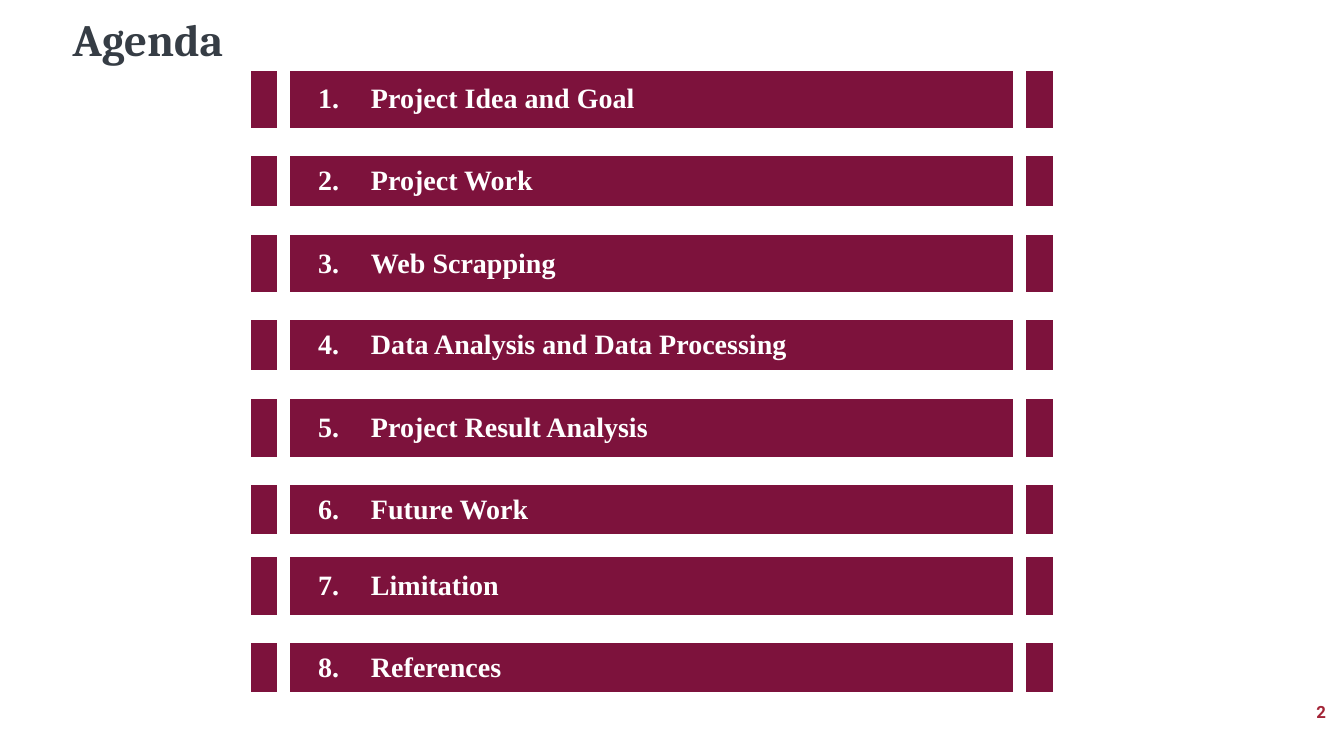
import pptx
import pptx.util
import pptx.dml.color
import pptx.enum.text
import pptx.oxml.ns
from lxml import etree
from pptx.util import Inches, Pt

COLORS = {"wine": "7D123C", "white": "FFFFFF", "slate": "363D45", "red": "A32537"}
ALIGN = pptx.enum.text.PP_ALIGN
ANCHOR = pptx.enum.text.MSO_ANCHOR
PLAIN = "{2D5ABB26-0587-4C30-8999-92F81FD0307C}"
COLS = [0.26, 0.13, 0.76, 6.41, 0.13, 0.26]
ROWS = [0.28, 0.57, 0.28, 0.49]
BARS = (0, 2, 3, 5)
TOPICS = [
    "Project Idea and Goal", "Project Work", "Web Scrapping",
    "Data Analysis and Data Processing", "Project Result Analysis",
    "Future Work", "Limitation", "References",
]
TOPS = [0.42, 2.05, 3.68, 5.25]


def color(name):
    return pptx.dml.color.RGBColor.from_string(COLORS[name])


def write(frame, text, size, face, tint, align=ALIGN.LEFT):
    frame.text = text
    para = frame.paragraphs[0]
    para.alignment = align
    font = para.runs[0].font
    font.size, font.name, font.bold = Pt(size), face, True
    font.color.rgb = color(tint)


def add_title(slide, text):
    title = slide.shapes.title
    title.left, title.top = Inches(0.62), Inches(0.13)
    title.width, title.height = Inches(11.71), Inches(0.8)
    frame = title.text_frame
    frame.vertical_anchor = ANCHOR.TOP
    write(frame, text, 32, "Cambria", "slate")
    frame.paragraphs[0].line_spacing = 0.9


def add_number(slide, text):
    box = slide.shapes.add_textbox(Inches(10.25), Inches(6.86), Inches(3), Inches(0.4))
    frame = box.text_frame
    frame.word_wrap = True
    frame.vertical_anchor = ANCHOR.MIDDLE
    write(frame, text, 12, "Roboto", "red", ALIGN.RIGHT)


def format_cell(cell, row, col):
    cell.margin_left = cell.margin_right = Inches(0.04)
    cell.margin_top = cell.margin_bottom = Inches(0.04)
    cell.vertical_anchor = ANCHOR.MIDDLE
    if row % 2 and col in BARS:
        cell.fill.solid()
        cell.fill.fore_color.rgb = color("wine")
    elif col == 1 or (row, col) == (1, 4):
        cell.fill.solid()
        cell.fill.fore_color.rgb = color("white")
    else:
        cell.fill.background()


def shrink(cell):
    """Keep an empty cell from stretching its row."""
    para = cell.text_frame.paragraphs[0]
    end = etree.SubElement(para._p, pptx.oxml.ns.qn("a:endParaRPr"))
    end.set("sz", "800")


def add_pair(slide, top, first, topics):
    """Add a table with two numbered topics, each below a spacer row."""
    frame = slide.shapes.add_table(
        len(ROWS), len(COLS), Inches(2.49), Inches(top),
        Inches(sum(COLS)), Inches(sum(ROWS)))
    table = frame.table
    table.first_row = table.horz_banding = False
    table._tbl.tblPr.find(pptx.oxml.ns.qn("a:tableStyleId")).text = PLAIN
    for col, width in zip(table.columns, COLS):
        col.width = Inches(width)
    for row, height in zip(table.rows, ROWS):
        row.height = Inches(height)
    for row in range(len(ROWS)):
        for col in range(len(COLS)):
            cell = table.cell(row, col)
            format_cell(cell, row, col)
            if row % 2 and col in (2, 3):
                item = row // 2
                text = f"{first + item}." if col == 2 else topics[item]
                align = ALIGN.CENTER if col == 2 else ALIGN.LEFT
                write(cell.text_frame, text, 20, "Times New Roman", "white", align)
            else:
                shrink(cell)


def main():
    deck = pptx.Presentation()
    deck.slide_width, deck.slide_height = Inches(13.33), Inches(7.5)
    slide = deck.slides.add_slide(deck.slide_layouts[5])
    add_title(slide, "Agenda")
    add_number(slide, "2")
    for pair, top in enumerate(TOPS):
        start = 2 * pair
        add_pair(slide, top, start + 1, TOPICS[start:start + 2])
    deck.save("out.pptx")


if __name__ == "__main__":
    main()
